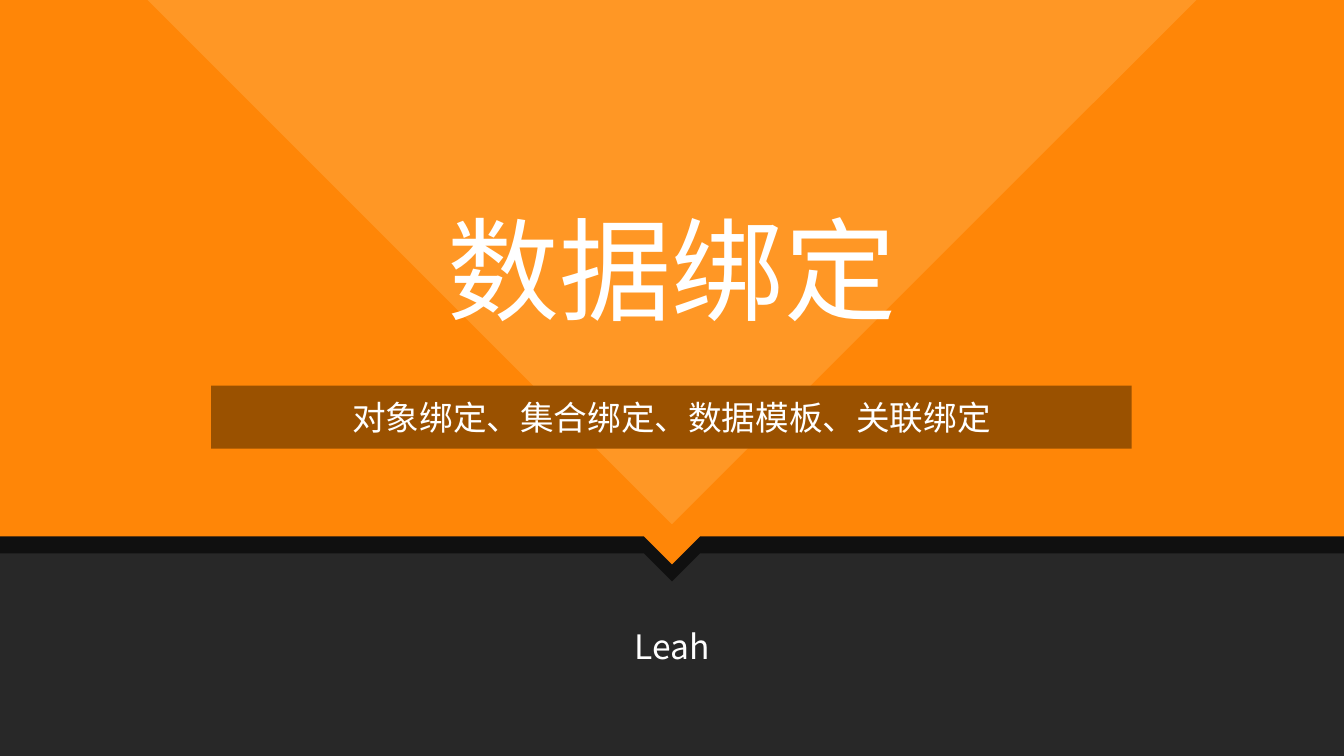
import pptx
import pptx.dml.color
import pptx.enum.shapes
import pptx.enum.text
import pptx.oxml
import pptx.oxml.ns
import pptx.util
from pptx.util import Cm

RGBColor = pptx.dml.color.RGBColor
CHARCOAL = RGBColor(0x28, 0x28, 0x28)
BLACK = RGBColor(0x00, 0x00, 0x00)
ORANGE = RGBColor(0xFF, 0x86, 0x07)
LIGHT_ORANGE = RGBColor(0xFF, 0x97, 0x25)
BROWN = RGBColor(0x9A, 0x51, 0x00)
WHITE = RGBColor(0xFF, 0xFF, 0xFF)

WIDTH, HEIGHT = 25.4, 14.29
CENTER = WIDTH / 2
BODY_FONT = "Noto Sans CJK SC"
TITLE_FONT = "Arial Narrow"


class Cover:
    """Holds the style and the current slide; lengths are centimetres."""

    def __init__(self, slide):
        """Keep the shapes of the slide to draw on."""
        self.shapes = slide.shapes

    def paint(self, shape, color, opacity=None):
        """Give a shape a plain fill without line or shadow."""
        shape.shadow.inherit = False
        shape.line.fill.background()
        shape.fill.solid()
        shape.fill.fore_color.rgb = color
        if opacity is not None:
            tint = shape.element.spPr.find(".//" + pptx.oxml.ns.qn("a:srgbClr"))
            alpha = pptx.oxml.parse_xml(
                f'<a:alpha {pptx.oxml.ns.nsdecls("a")} val="{opacity * 1000}"/>')
            tint.append(alpha)

    def rectangle(self, left, top, width, height, color):
        """Add a filled rectangle."""
        box = self.shapes.add_shape(
            pptx.enum.shapes.MSO_SHAPE.RECTANGLE,
            Cm(left), Cm(top), Cm(width), Cm(height))
        self.paint(box, color)
        return box

    def polygon(self, points, color, opacity=None):
        """Add a closed, filled outline."""
        corners = [(Cm(x), Cm(y)) for x, y in points]
        builder = self.shapes.build_freeform(*corners[0], scale=1.0)
        builder.add_line_segments(corners[1:], close=True)
        self.paint(builder.convert_to_shape(), color, opacity)

    def notched_band(self, top, color, opacity=None):
        """Add a full-width band with a pointer at its bottom centre."""
        edge, notch = top + 10.14, 0.53
        self.polygon([(0, top), (WIDTH, top), (WIDTH, edge),
                      (CENTER + notch, edge), (CENTER, edge + notch),
                      (CENTER - notch, edge), (0, edge)], color, opacity)

    def label(self, box, words, size, font):
        """Put one centred white line of text in a box."""
        frame = box.text_frame
        frame.word_wrap = True
        para = frame.paragraphs[0]
        para.alignment = pptx.enum.text.PP_ALIGN.CENTER
        span = para.add_run()
        span.text = words
        span.font.size = pptx.util.Pt(size)
        span.font.name = font
        span.font.color.rgb = WHITE

    def caption(self, top, height, words, size, font):
        """Add a full-width text box."""
        box = self.shapes.add_textbox(Cm(0), Cm(top), Cm(WIDTH), Cm(height))
        self.label(box, words, size, font)
        box.text_frame.auto_size = pptx.enum.text.MSO_AUTO_SIZE.SHAPE_TO_FIT_TEXT


def main():
    """Build the cover slide and save it."""
    deck = pptx.Presentation()
    deck.slide_width, deck.slide_height = Cm(WIDTH), Cm(HEIGHT)
    cover = Cover(deck.slides.add_slide(deck.slide_layouts[6]))

    cover.rectangle(0, 0, WIDTH, HEIGHT, CHARCOAL)
    cover.notched_band(0.32, BLACK, opacity=60)
    cover.notched_band(0, ORANGE)
    reach = 9.91
    cover.polygon([(CENTER - reach, 0), (CENTER + reach, 0), (CENTER, reach)],
                  LIGHT_ORANGE)

    cover.caption(3.66, 2.82, "数据绑定", 60, TITLE_FONT)
    topics = cover.rectangle(3.99, 7.29, 17.4, 1.19, BROWN)
    topics.text_frame.vertical_anchor = pptx.enum.text.MSO_ANCHOR.MIDDLE
    cover.label(topics, "对象绑定、集合绑定、数据模板、关联绑定", 18, BODY_FONT)
    cover.caption(11.71, 1.02, "Leah", 18, BODY_FONT)

    deck.save("out.pptx")


main()
